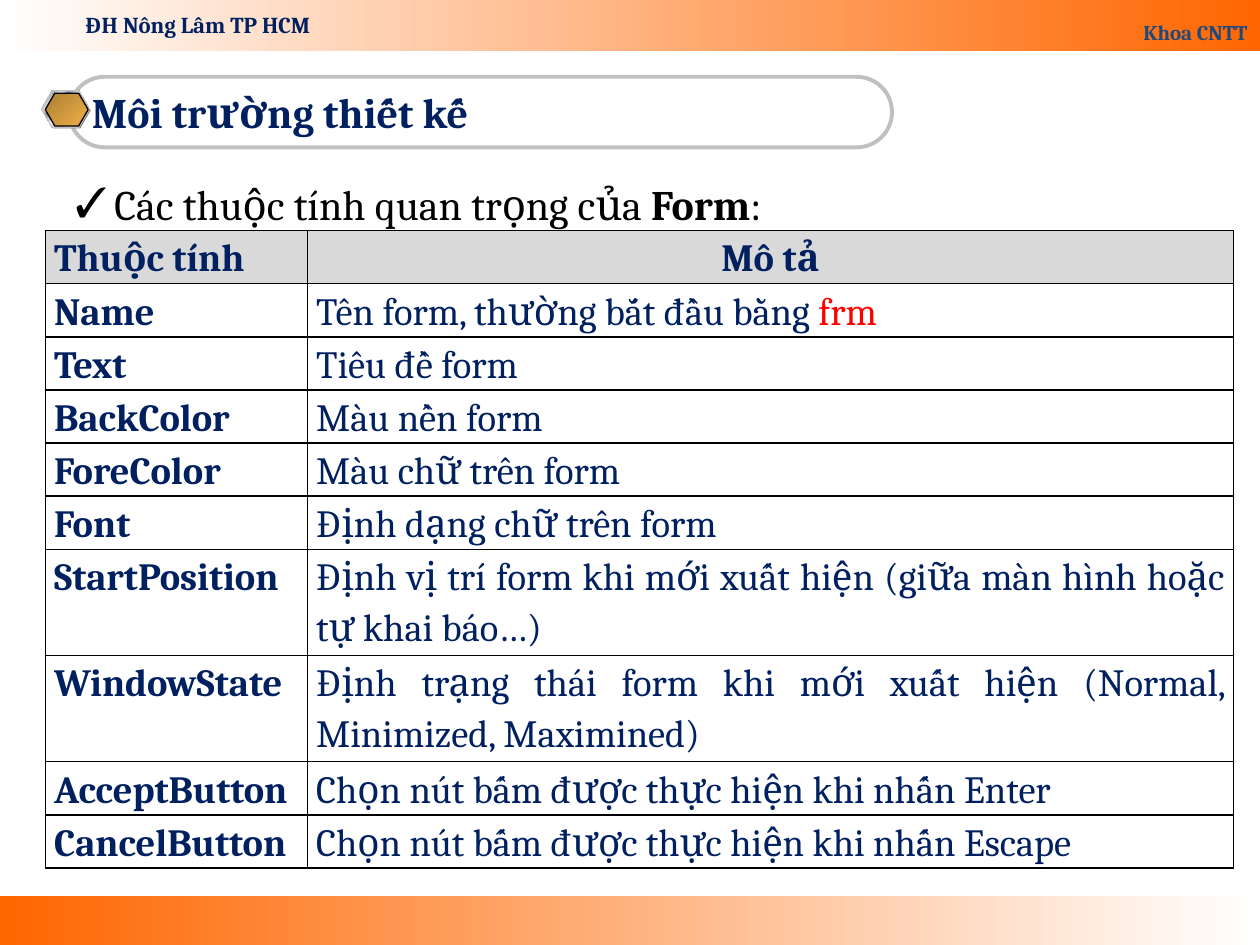
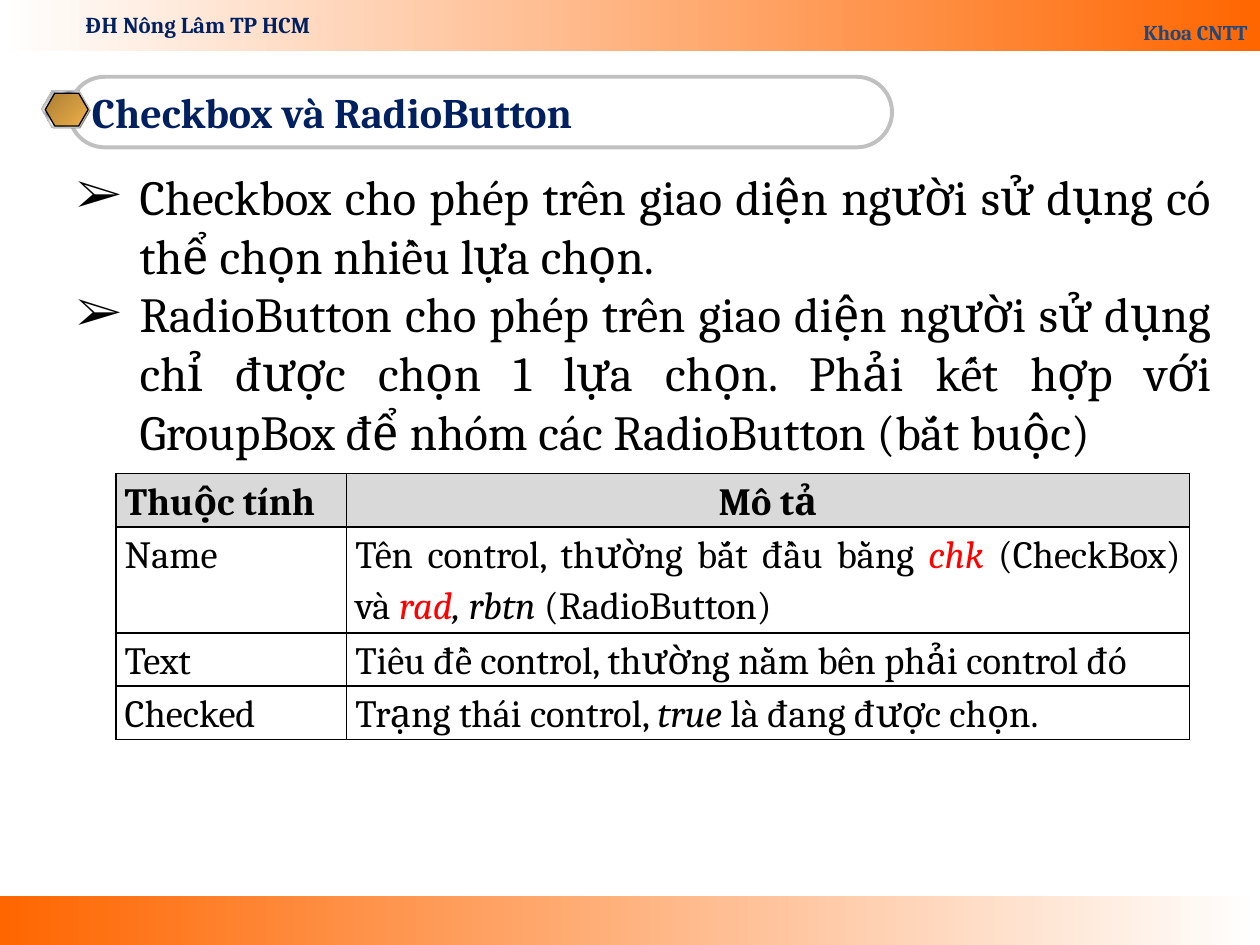
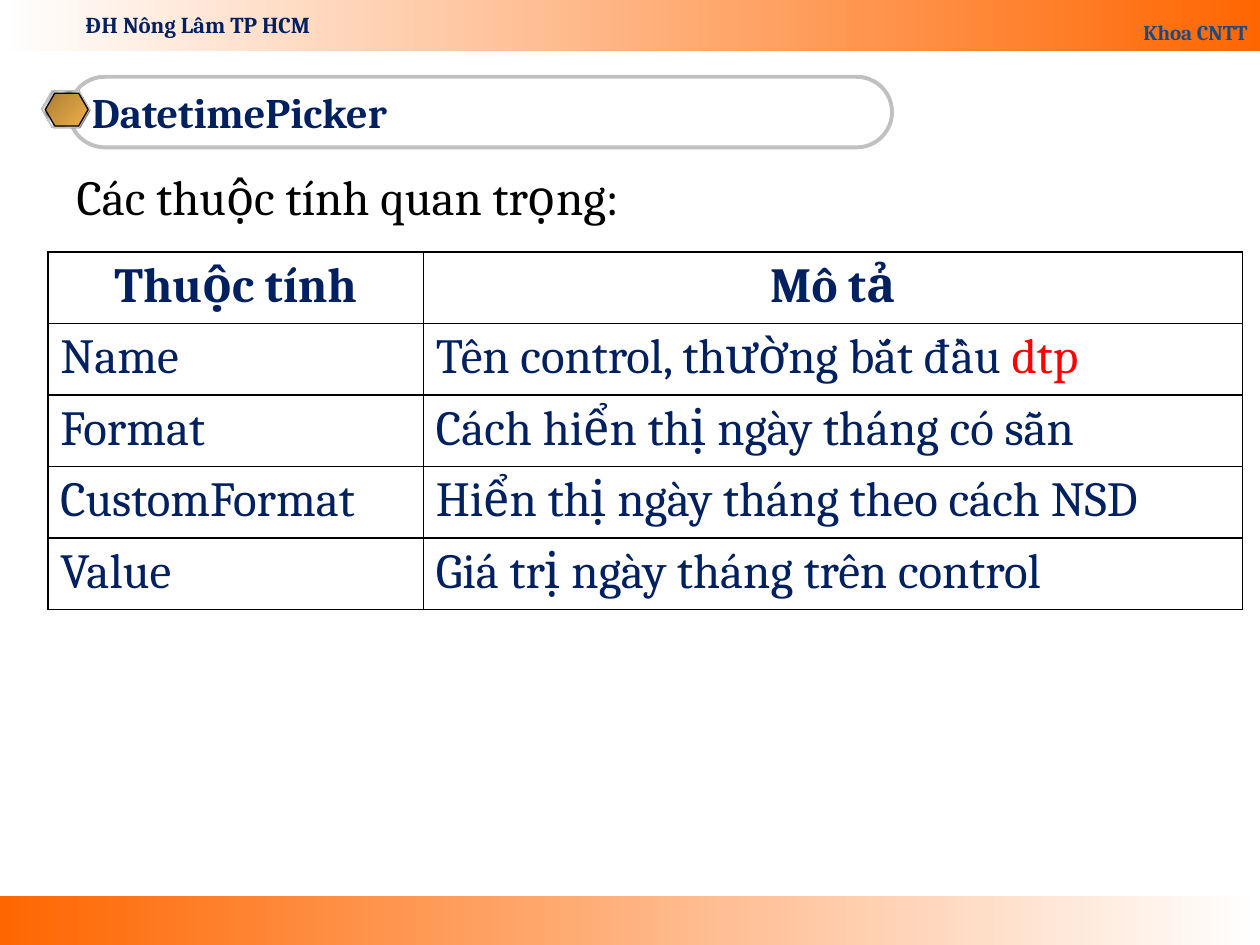
from lxml import etree
from pptx import Presentation
from pptx.dml.color import RGBColor
from pptx.enum.shapes import MSO_SHAPE
from pptx.enum.text import MSO_ANCHOR, PP_ALIGN
from pptx.oxml.ns import qn
from pptx.util import Inches, Pt

RECT, HEXAGON, PILL = MSO_SHAPE.RECTANGLE, MSO_SHAPE.HEXAGON, MSO_SHAPE.ROUNDED_RECTANGLE
LEFT, CENTER, RIGHT, JUSTIFY = PP_ALIGN.LEFT, PP_ALIGN.CENTER, PP_ALIGN.RIGHT, PP_ALIGN.JUSTIFY
MIDDLE, BOTTOM = MSO_ANCHOR.MIDDLE, MSO_ANCHOR.BOTTOM

WIDTH, HEIGHT = Inches(10), Inches(7.5)
COLUMNS, ROWS = 100, 75
FONT = "Cambria"
BLACK, WHITE, NAVY, BLUE, RED = "000000", "FFFFFF", "002060", "1F497D", "FF0000"
ORANGE, SILVER, GRAY, HEADER_GRAY = "FF6600", "C0C0C0", "808080", "D9D9D9"
BAND = [(0, WHITE), (100, ORANGE)]
FOOTER_BAND = [(0, ORANGE), (100, WHITE)]
GOLD = [(0, "AB7E34"), (100, "EFB049")]
LIGHT, STEEL = "E6E6E6", "7D8496"
CHROME = [(0, LIGHT), (7, STEEL), (26, LIGHT), (34, STEEL), (46, LIGHT), (50, WHITE),
          (54, LIGHT), (66, STEEL), (74, LIGHT), (93, STEEL), (100, LIGHT)]
HEADINGS = ("Thuộc tính", "Mô tả")
SPACED = {"line_spacing": 1.15, "space_before": Pt(5), "space_after": Pt(5)}

VOWELS = "aăâeêioôơuưy"
TONED_VOWELS = {
    0x300: "àằầèềìòồờùừỳ",
    0x301: "áắấéếíóốớúứý",
    0x303: "ãẵẫẽễĩõỗỡũữỹ",
    0x309: "ảẳẩẻểỉỏổởủửỷ",
    0x323: "ạặậẹệịọộợụựỵ",
}
SPLIT_TONES = str.maketrans({toned: vowel + chr(mark)
                             for mark, letters in TONED_VOWELS.items()
                             for vowel, toned in zip(VOWELS, letters)})

FORM_ROWS = [
    ("Name", [("Tên form, thường bắt đầu bằng ", ""), ("frm", "r")]),
    ("Text", "Tiêu đề form"),
    ("BackColor", "Màu nền form"),
    ("ForeColor", "Màu chữ trên form"),
    ("Font", "Định dạng chữ trên form"),
    ("StartPosition", "Định vị trí form khi mới xuất hiện (giữa màn hình hoặc tự khai báo…)"),
    ("WindowState", "Định trạng thái form khi mới xuất hiện (Normal, Minimized, Maximined)"),
    ("AcceptButton", "Chọn nút bấm được thực hiện khi nhấn Enter"),
    ("CancelButton", "Chọn nút bấm được thực hiện khi nhấn Escape"),
]
CHOICE_ROWS = [
    ("Name", [("Tên control, thường bắt đầu bằng ", ""), ("chk ", "ri"), ("(CheckBox) và ", ""),
              ("rad", "ri"), (", rbtn", "i"), (" (RadioButton)", "")]),
    ("Text", "Tiêu đề control, thường nằm bên phải control đó"),
    ("Checked", [("Trạng thái control, ", ""), ("true", "i"), (" là đang được chọn.", "")]),
]
DATE_ROWS = [
    ("Name", [("Tên control, thường bắt đầu ", ""), ("dtp", "r")]),
    ("Format", "Cách hiển thị ngày tháng có sẵn"),
    ("CustomFormat", "Hiển thị ngày tháng theo cách NSD"),
    ("Value", "Giá trị ngày tháng trên control"),
]
CHOICE_NOTES = [
    "Checkbox cho phép trên giao diện người sử dụng có thể chọn nhiều lựa chọn.",
    "RadioButton cho phép trên giao diện người sử dụng chỉ được chọn 1 lựa chọn. "
    "Phải kết hợp với GroupBox để nhóm các RadioButton (bắt buộc)",
]


def color(hex_code):
    """Turn a hex string into a colour."""
    return RGBColor.from_string(hex_code)


def across(columns):
    """Length of a number of grid columns."""
    return round(WIDTH * columns / COLUMNS)


def down(rows):
    """Length of a number of grid rows."""
    return round(HEIGHT * rows / ROWS)


def place(left, top, width, height):
    """Turn grid units into a position and a size."""
    return across(left), down(top), across(width), down(height)


def as_runs(content):
    """Turn a string into a list with one unmarked run."""
    return [(content, "")] if isinstance(content, str) else content


def split_tones(content):
    """Spell tone marks as combining characters after their vowels."""
    return [(words.translate(SPLIT_TONES), marks) for words, marks in as_runs(content)]


def write(paragraph, content, size, ink, align=LEFT, bold=False, spacing=None):
    """Write a string or marked runs (b bold, i italic, r red) into a paragraph."""
    paragraph.alignment = align
    for name, value in (spacing or {}).items():
        setattr(paragraph, name, value)
    for words, marks in as_runs(content):
        run = paragraph.add_run()
        run.text = words
        run.font.name, run.font.size = FONT, Pt(size)
        run.font.bold = bold or "b" in marks
        run.font.italic = "i" in marks
        run.font.color.rgb = color(RED if "r" in marks else ink)


def add_bullet(paragraph, symbol, indent):
    """Give a paragraph a hanging bullet."""
    properties = paragraph._p.get_or_add_pPr()
    properties.set("marL", str(across(indent)))
    properties.set("indent", str(-across(indent)))
    etree.SubElement(properties, qn("a:buFont"), typeface=FONT)
    etree.SubElement(properties, qn("a:buChar"), char=symbol)


def fill_gradient(shape, stops, angle):
    """Fill a shape with a linear gradient of any number of stops."""
    shape.fill.gradient()
    gradient = shape._element.spPr.find(qn("a:gradFill"))
    for child in list(gradient):
        gradient.remove(child)
    stop_list = etree.SubElement(gradient, qn("a:gsLst"))
    for percent, hex_code in stops:
        stop = etree.SubElement(stop_list, qn("a:gs"), pos=str(percent * 1000))
        etree.SubElement(stop, qn("a:srgbClr"), val=hex_code)
    etree.SubElement(gradient, qn("a:lin"), ang=str(angle * 60000), scaled="0")


def add_figure(shapes, kind, spot, fill=None, line=None, weight=0.75, angle=0, adjust=None):
    """Add a preset shape with no fill, a plain fill or a gradient."""
    figure = shapes.add_shape(kind, *place(*spot))
    figure.shadow.inherit = False
    if adjust is not None:
        figure.adjustments[0] = adjust
    if fill is None:
        figure.fill.background()
    elif isinstance(fill, str):
        figure.fill.solid()
        figure.fill.fore_color.rgb = color(fill)
    else:
        fill_gradient(figure, fill, angle)
    if line:
        figure.line.color.rgb = color(line)
        figure.line.width = Pt(weight)
    else:
        figure.line.fill.background()
    return figure


def add_text(slide, spot, paragraphs, size, ink=BLACK, align=JUSTIFY, bold=False,
             bullet=None, indent=0, spacing=None, wrap=True):
    """Add a text box with one or more paragraphs."""
    frame = slide.shapes.add_textbox(*place(*spot)).text_frame
    frame.word_wrap = wrap
    for number, content in enumerate(paragraphs):
        paragraph = frame.add_paragraph() if number else frame.paragraphs[0]
        write(paragraph, content, size, ink, align, bold, spacing)
        if bullet:
            add_bullet(paragraph, bullet, indent)


def add_bands(slide):
    """Draw the footer and header bands with the school and the faculty."""
    add_figure(slide.shapes, RECT, (0, 71.1, 100, 3.9), FOOTER_BAND)
    header = add_figure(slide.shapes, RECT, (0, -0.1, 100, 4.15), BAND)
    header.text_frame.vertical_anchor = BOTTOM
    header.text_frame.word_wrap = True
    write(header.text_frame.paragraphs[0], "Khoa CNTT", 12, BLUE, RIGHT, True,
          {"line_spacing": 1.8})
    add_text(slide, (5.5, 0.35, 20.4, 3.2), ["ĐH Nông Lâm TP HCM"], 13, NAVY, CENTER, True,
             wrap=False)


def add_title(slide, title):
    """Draw the title in its pill with the hexagon badge."""
    parts = slide.shapes.add_group_shape().shapes
    pill = add_figure(parts, PILL, (5.5, 6.1, 65.3, 5.6), line=SILVER, weight=2.25, adjust=0.5)
    pill.text_frame.vertical_anchor = MIDDLE
    pill.text_frame.word_wrap = True
    write(pill.text_frame.paragraphs[0], title, 24, NAVY, bold=True)
    for spot, fill, line in (((3.4, 7.3, 3.8, 2.9), GRAY, None),
                             ((3.3, 7.2, 3.8, 2.9), CHROME, SILVER),
                             ((3.6, 7.4, 3.4, 2.6), GOLD, BLACK)):
        add_figure(parts, HEXAGON, spot, fill, line, angle=45, adjust=0.289)


def add_borders(cell):
    """Draw a thin black line on each side of a cell."""
    properties = cell._tc.get_or_add_tcPr()
    for side in ("a:lnL", "a:lnR", "a:lnT", "a:lnB"):
        edge = etree.SubElement(properties, qn(side), w=str(Pt(1)))
        solid = etree.SubElement(edge, qn("a:solidFill"))
        etree.SubElement(solid, qn("a:srgbClr"), val=BLACK)


def fill_cell(cell, hex_code):
    """Fill a cell, or leave it clear."""
    if hex_code:
        cell.fill.solid()
        cell.fill.fore_color.rgb = color(hex_code)
    else:
        cell.fill.background()


def add_properties(slide, corner, widths, row_height, rows, size, ink, tall=(), tight=True,
                   header_fill=None, body_fill=None, bold_names=False):
    """Add a table of properties; a tight one has small margins and split tone marks."""
    lines = [HEADINGS, *rows]
    heights = [row_height * (2 if row in tall else 1) for row in range(len(lines))]
    spot = place(*corner, sum(widths), sum(heights))
    table = slide.shapes.add_table(len(lines), len(widths), *spot).table
    table.first_row = table.horz_banding = False
    for column, width in enumerate(widths):
        table.columns[column].width = across(width)
    body_align = JUSTIFY if tight else LEFT
    for row, line in enumerate(lines):
        table.rows[row].height = down(heights[row])
        for column, content in enumerate(line):
            cell = table.cell(row, column)
            if tight:
                cell.margin_left = cell.margin_right = across(0.7)
                cell.margin_top = cell.margin_bottom = 0
                content = split_tones(content)
            add_borders(cell)
            fill_cell(cell, body_fill if row else header_fill)
            centered = row == 0 and (column == 1 or not tight)
            bold = row == 0 or (bold_names and column == 0)
            write(cell.text_frame.paragraphs[0], content, size, ink,
                  CENTER if centered else body_align, bold, SPACED if tight else None)


def start_slide(deck, title):
    """Add a blank slide with the shared bands and its title."""
    slide = deck.slides.add_slide(deck.slide_layouts[6])
    add_bands(slide)
    add_title(slide, title)
    return slide


def main():
    """Build the three slides."""
    deck = Presentation()
    deck.slide_width, deck.slide_height = WIDTH, HEIGHT

    form = start_slide(deck, "Môi trường thiết kế")
    add_text(form, (5, 13.1, 91.8, 5.3),
             [[("Các thuộc tính quan trọng của ", ""), ("Form", "b"), (":", "")]],
             24, bullet="✓", indent=3.1, spacing=SPACED)
    add_properties(form, (3.6, 18.3), (20.8, 73.5), 4.2, FORM_ROWS, 22, NAVY, tall=(6, 7),
                   header_fill=HEADER_GRAY, bold_names=True)

    choices = start_slide(deck, "Checkbox và RadioButton")
    add_text(choices, (5.1, 12.7, 92, 29.3), CHOICE_NOTES, 28, bullet="➢", indent=5)
    add_properties(choices, (9.2, 37.6), (18.3, 66.9), 4.2, CHOICE_ROWS, 22, BLACK, tall=(1,),
                   header_fill=HEADER_GRAY, body_fill=WHITE)

    dates = start_slide(deck, "DatetimePicker")
    add_text(dates, (5.1, 12.7, 92, 5.7), ["Các thuộc tính quan trọng:"], 28)
    add_properties(dates, (3.8, 20), (29.8, 65), 5.67, DATE_ROWS, 28, NAVY, tight=False)

    deck.save("out.pptx")


if __name__ == "__main__":
    main()
